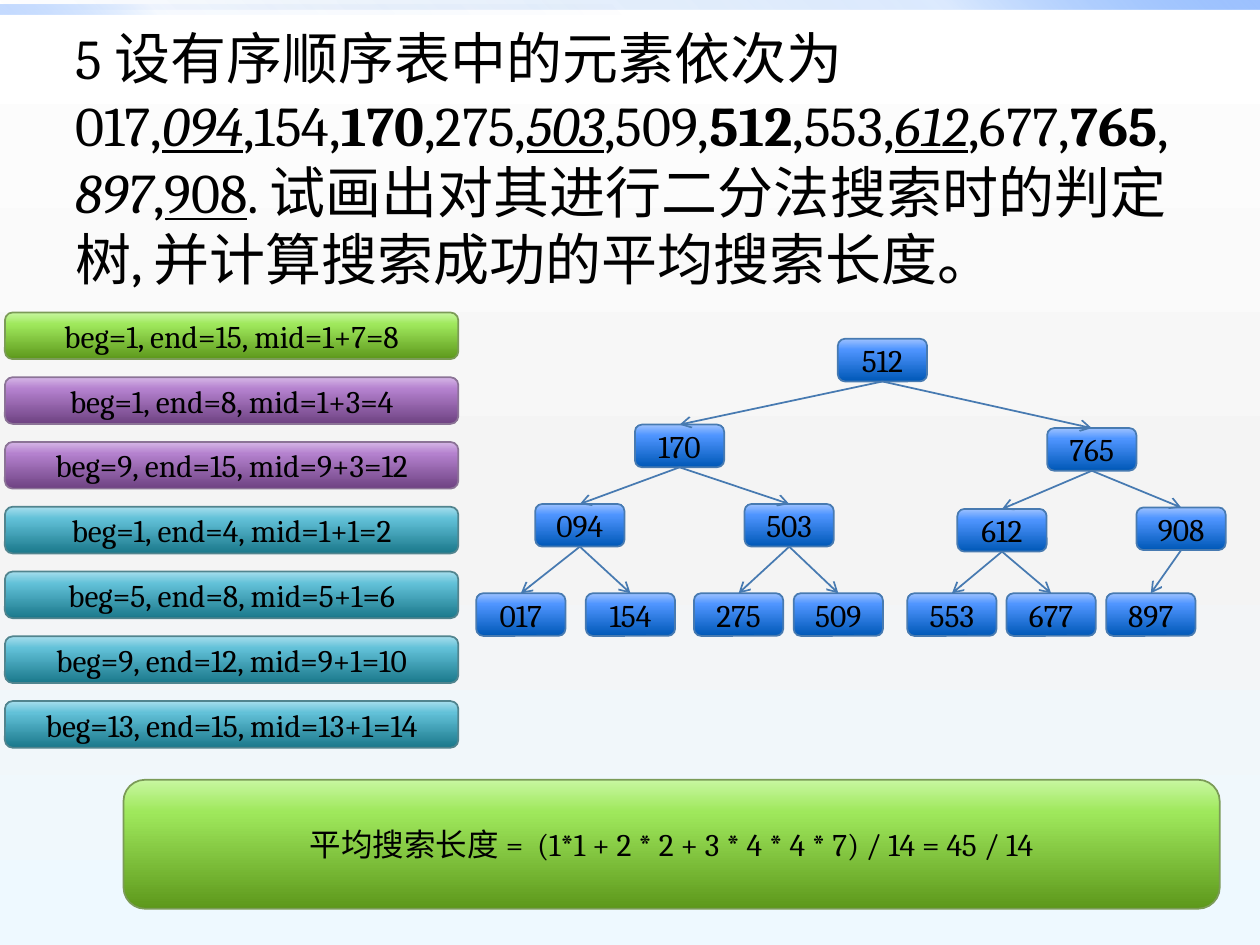
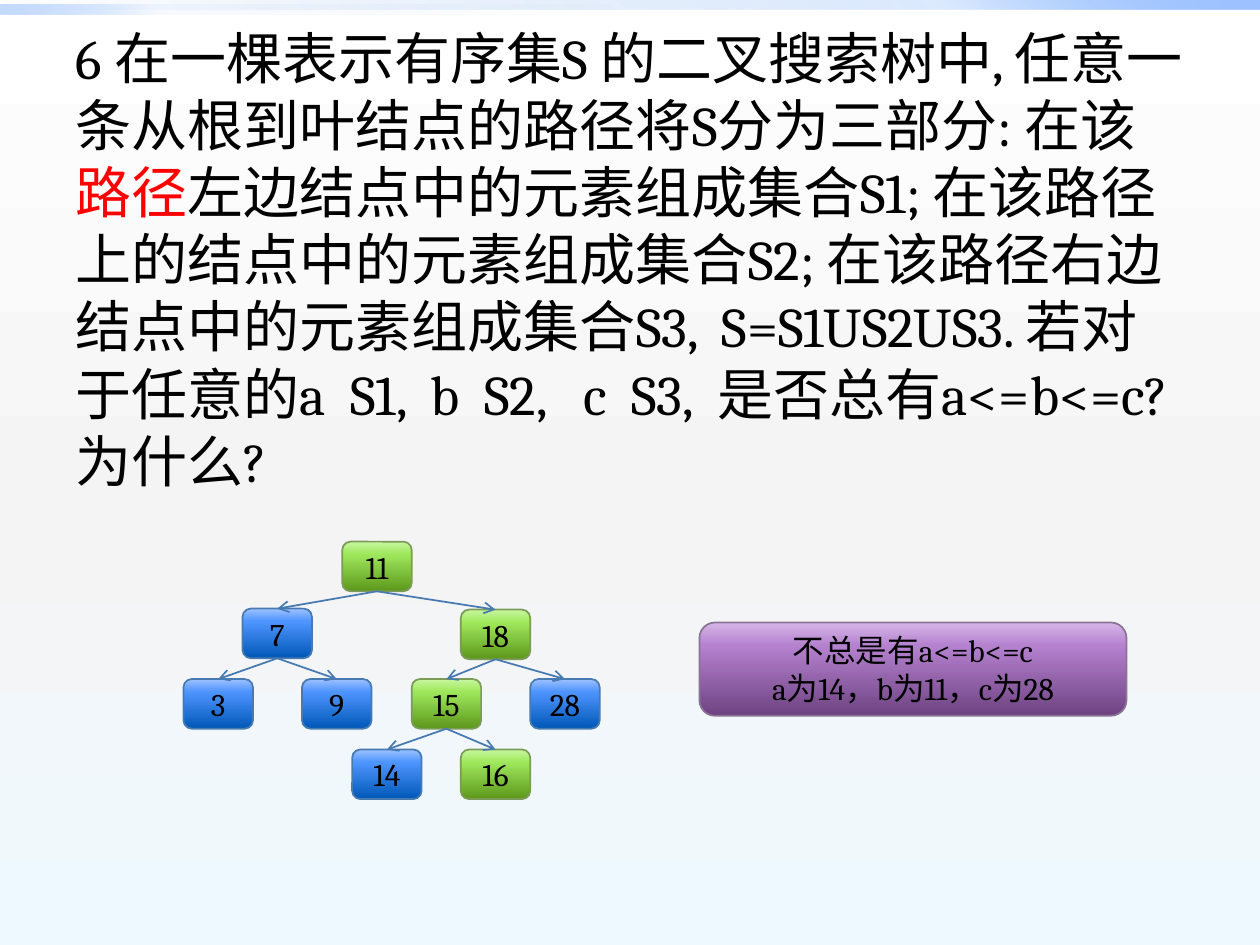
from dataclasses import dataclass

from lxml import etree
from pptx import Presentation
from pptx.dml.color import RGBColor
from pptx.enum.shapes import MSO_CONNECTOR, MSO_SHAPE
from pptx.enum.text import MSO_ANCHOR, PP_ALIGN
from pptx.oxml.ns import qn
from pptx.util import Cm, Pt

ROUND = MSO_SHAPE.ROUNDED_RECTANGLE
RECT = MSO_SHAPE.RECTANGLE
STRAIGHT = MSO_CONNECTOR.STRAIGHT
MIDDLE = MSO_ANCHOR.MIDDLE
CENTER = PP_ALIGN.CENTER
BOTTOM, TOP = 2, 0


@dataclass(frozen=True)
class Tone:
    stops: tuple
    edge: str


def tone(dark, mid, light, edge):
    return Tone(((0, dark, 100), (75, mid, 100), (100, light, 100)), edge)


class Theme:
    font = "Cambria"
    body = Pt(32)
    label = Pt(18)
    line = Pt(1)
    ink = RGBColor.from_string("000000")
    red = RGBColor.from_string("FF0000")
    blue = tone("0058B7", "4F95FF", "9EC2FF", "477AB1")
    green = tone("5D981B", "9FE85C", "C8F7A1", "7B9B57")
    purple = tone("6E4282", "B481CE", "D6B6E7", "8B7396")
    teal = tone("1A788B", "62C1D8", "A6DEED", "51848E")
    back = ((0, "FFFFFF", 100), (55, "F4F4F4", 100), (100, "EEF9FF", 100))
    wide = ((0, "0058B7", 0), (75, "4F95FF", 20), (100, "9EC2FF", 100))
    short = ((0, "0058B7", 0), (75, "4F95FF", 5), (100, "9EC2FF", 60))


PLAIN, BOLD, ITALIC, UNDER, MARK, RED = "", "b", "i", "u", "iu", "r"

ORDER = [
    ("5 设有序顺序表中的元素依次为017,", PLAIN), ("094", MARK),
    (",154,", PLAIN), ("170", BOLD), (",275,", PLAIN), ("503", MARK),
    (",509,", PLAIN), ("512", BOLD), (",553,", PLAIN), ("612", MARK),
    (",677,", PLAIN), ("765", BOLD), (",", PLAIN), ("897", ITALIC),
    (",", PLAIN), ("908", UNDER),
    (". 试画出对其进行二分法搜索时的判定树, 并计算搜索成功的平均搜索长度。", PLAIN),
]
PARTS = [
    ("6 在一棵表示有序集S 的二叉搜索树中, 任意一条从根到叶结点的路径将S分为三部分: 在该", PLAIN),
    ("路径", RED),
    ("左边结点中的元素组成集合S1; 在该路径上的结点中的元素组成集合S2; "
     "在该路径右边结点中的元素组成集合S3,  S=S1US2US3. "
     "若对于任意的a  S1,  b  S2,   c  S3,  是否总有a<=b<=c? 为什么?", PLAIN),
]
STEPS = [
    ("beg=1, end=15, mid=1+7=8", Theme.green),
    ("beg=1, end=8, mid=1+3=4", Theme.purple),
    ("beg=9, end=15, mid=9+3=12", Theme.purple),
    ("beg=1, end=4, mid=1+1=2", Theme.teal),
    ("beg=5, end=8, mid=5+1=6", Theme.teal),
    ("beg=9, end=12, mid=9+1=10", Theme.teal),
    ("beg=13, end=15, mid=13+1=14", Theme.teal),
]
SEARCH = [
    ("512", None, 7.29, 0),
    ("170", "512", 3.2, 1.73), ("765", "512", 11.51, 1.8),
    ("094", "170", 1.19, 3.33), ("503", "170", 5.41, 3.33),
    ("612", "765", 9.7, 3.43), ("908", "765", 13.31, 3.4),
    ("017", "094", 0, 5.13), ("154", "094", 2.21, 5.13),
    ("275", "503", 4.39, 5.13), ("509", "503", 6.4, 5.13),
    ("553", "612", 8.69, 5.13), ("677", "612", 10.69, 5.13),
    ("897", "908", 12.7, 5.13),
]
SPLIT = [
    ("11", None, 3.2, 0),
    ("7", "11", 1.19, 1.35), ("18", "11", 5.59, 1.37),
    ("3", "7", 0, 2.77), ("9", "7", 2.39, 2.77),
    ("15", "18", 4.6, 2.77), ("28", "18", 6.99, 2.77),
    ("14", "15", 3.4, 4.19), ("16", "15", 5.59, 4.19),
]
ROUTE = {"11", "18", "15", "16"}


def paint(fill, stops, angle):
    fill.gradient()
    grad = fill._xPr.find(qn("a:gradFill"))
    grad.clear()
    grad.set("rotWithShape", "1")
    group = etree.SubElement(grad, qn("a:gsLst"))
    for place, shade, solid in stops:
        stop = etree.SubElement(group, qn("a:gs"), pos=str(place * 1000))
        color = etree.SubElement(stop, qn("a:srgbClr"), val=shade)
        if solid < 100:
            etree.SubElement(color, qn("a:alpha"), val=str(solid * 1000))
    etree.SubElement(grad, qn("a:lin"), ang=str(angle * 60000), scaled="0")


def style(para, size):
    para.font.name = Theme.font
    para.font.size = size
    para.font.color.rgb = Theme.ink


def block(slide, kind, box, stops, angle):
    shape = slide.shapes.add_shape(kind, *map(Cm, box))
    shape.shadow.inherit = False
    paint(shape.fill, stops, angle)
    return shape


def card(slide, box, hue, *lines):
    shape = block(slide, ROUND, box, hue.stops, 270)
    shape.line.color.rgb = RGBColor.from_string(hue.edge)
    shape.line.width = Theme.line
    frame = shape.text_frame
    frame.word_wrap = True
    frame.vertical_anchor = MIDDLE
    frame.text = "\n".join(lines)
    for para in frame.paragraphs:
        para.alignment = CENTER
        style(para, Theme.label)
    return shape


def bands(slide, box):
    left, top, width, height = box
    lower = (left, top + height / 2, width / 2, height)
    for area, stops, angle in ((box, Theme.wide, 315), (lower, Theme.short, 135)):
        block(slide, RECT, area, stops, angle).line.fill.background()


def question(slide, box, parts):
    frame = slide.shapes.add_textbox(*map(Cm, box)).text_frame
    frame.word_wrap = True
    para = frame.paragraphs[0]
    para.space_before = Pt(6.4)
    style(para, Theme.body)
    for text, look in parts:
        run = para.add_run()
        run.text = text
        if BOLD in look:
            run.font.bold = True
        if ITALIC in look:
            run.font.italic = True
        if UNDER in look:
            run.font.underline = True
        if RED in look:
            run.font.color.rgb = Theme.red


def arrow(slide, start, end):
    link = slide.shapes.add_connector(STRAIGHT, 0, 0, 0, 0)
    link.begin_connect(start, BOTTOM)
    link.end_connect(end, TOP)
    link.line.color.rgb = RGBColor.from_string(Theme.blue.edge)
    link.line.width = Theme.line
    etree.SubElement(link.line._get_or_add_ln(), qn("a:tailEnd"), type="arrow")
    etree.SubElement(link._element.spPr, qn("a:effectLst"))


def tree(slide, origin, size, nodes, route=()):
    left, top = origin
    cards = {}
    for key, parent, across, down in nodes:
        hue = Theme.green if key in route else Theme.blue
        cards[key] = card(slide, (left + across, top + down, *size), hue, key)
        if parent:
            arrow(slide, cards[parent], cards[key])


def steps(slide, box, rows):
    left, top, width, height = box
    pitch = height / len(rows)
    for index, (text, hue) in enumerate(rows):
        card(slide, (left, top + index * pitch, width, 0.94), hue, text)


def page(deck, parts):
    slide = deck.slides.add_slide(deck.slide_layouts[6])
    bands(slide, (0, 0, 25.4, 0.2))
    question(slide, (1.27, 0.34, 22.86, 12.57), parts)
    return slide


def main():
    deck = Presentation()
    deck.slide_width, deck.slide_height = Cm(25.4), Cm(19.05)
    paint(deck.slide_master.background.fill, Theme.back, 90)

    slide = page(deck, ORDER)
    tree(slide, (9.6, 6.83), (1.8, 0.86), SEARCH)
    steps(slide, (0.1, 6.3, 9.14, 9.14), STEPS)
    card(slide, (2.49, 15.72, 22.1, 2.6), Theme.green,
         "平均搜索长度 =  (1*1 + 2 * 2 + 3 * 4 * 4 * 7) / 14 = 45 / 14")

    slide = page(deck, PARTS)
    tree(slide, (3.7, 10.92), (1.4, 1), SPLIT, ROUTE)
    card(slide, (14.1, 12.55, 8.61, 1.88), Theme.purple,
         "不总是有a<=b<=c", "a为14，b为11，c为28")

    deck.save("out.pptx")


if __name__ == "__main__":
    main()
